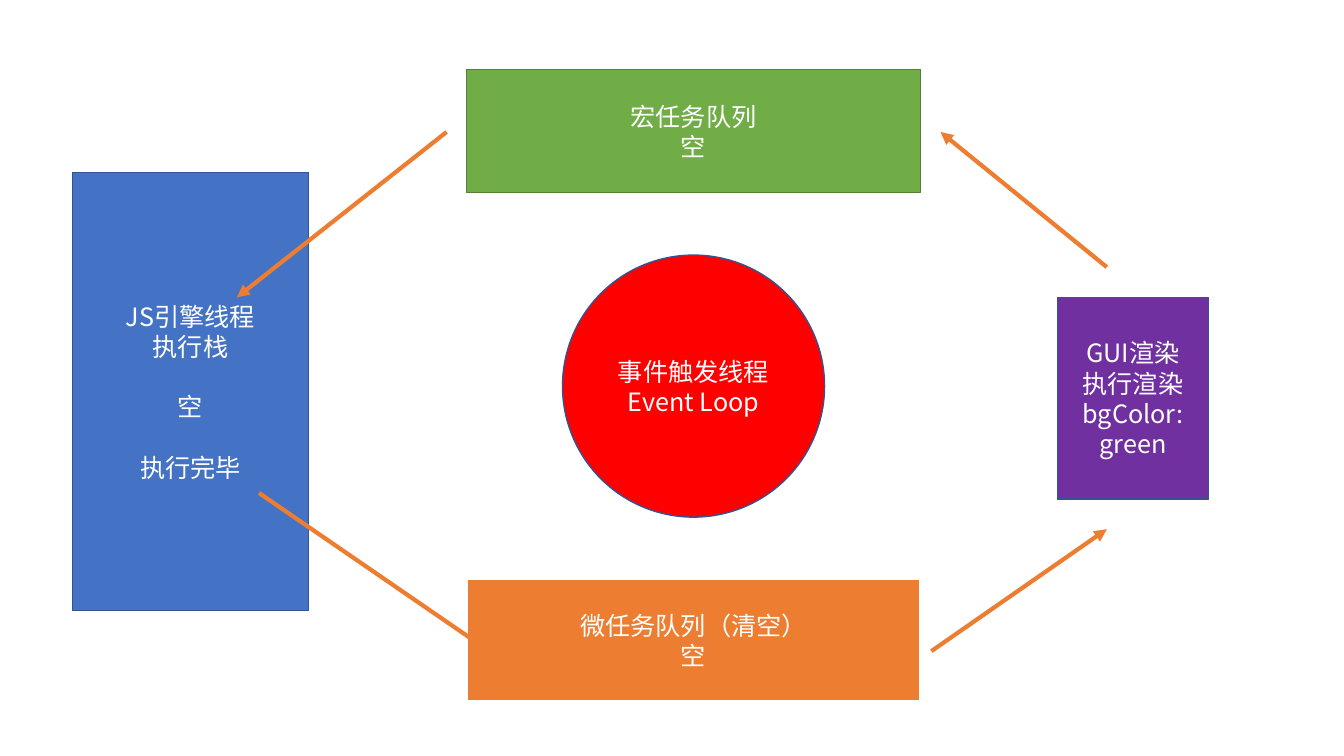
from dataclasses import dataclass

from lxml import etree
from pptx import Presentation
from pptx.dml.color import RGBColor
from pptx.enum.shapes import MSO_CONNECTOR, MSO_SHAPE
from pptx.enum.text import MSO_ANCHOR, PP_ALIGN
from pptx.oxml.ns import qn
from pptx.util import Pt

RECTANGLE = MSO_SHAPE.RECTANGLE
OVAL = MSO_SHAPE.OVAL
STRAIGHT = MSO_CONNECTOR.STRAIGHT
MIDDLE = MSO_ANCHOR.MIDDLE
CENTER = PP_ALIGN.CENTER


@dataclass(frozen=True)
class Theme:
    font: str = "Noto Sans CJK SC"
    text_size: float = 18
    line_height: float = 21.6
    white: str = "FFFFFF"
    blue: str = "4472C4"
    blue_edge: str = "325491"
    orange: str = "ED7D31"
    purple: str = "7030A0"
    green: str = "70AD47"
    green_edge: str = "538035"
    red: str = "FF0000"
    arrow_width: float = 3


THEME = Theme()

# Both queues share one column and size
QUEUE_LEFT, QUEUE_WIDTH, QUEUE_HEIGHT = 333.4, 324, 87.8


def color(value):
    return RGBColor.from_string(value)


def write_groups(shape, groups):
    """Write centred lines, with one line of space between groups."""
    text_frame = shape.text_frame
    text_frame.word_wrap = True
    text_frame.vertical_anchor = MIDDLE
    text_frame.text = "\n".join(line for group in groups for line in group)
    starts_group = [index == 0 for group in groups for index in range(len(group))]
    for number, paragraph in enumerate(text_frame.paragraphs):
        paragraph.alignment = CENTER
        if number and starts_group[number]:
            paragraph.space_before = Pt(THEME.line_height)
        for run in paragraph.runs:
            run.font.size = Pt(THEME.text_size)
            run.font.name = THEME.font
            run.font.color.rgb = color(THEME.white)
            east_asian = etree.SubElement(run.font._element, qn("a:ea"))
            east_asian.set("typeface", THEME.font)


def add_node(slide, kind, box, fill, edge, groups, edge_width=1):
    shape = slide.shapes.add_shape(kind, *(Pt(length) for length in box))
    shape.shadow.inherit = False
    shape.fill.solid()
    shape.fill.fore_color.rgb = color(fill)
    shape.line.color.rgb = color(edge)
    shape.line.width = Pt(edge_width)
    write_groups(shape, groups)


def add_queue(slide, top, fill, edge, lines, edge_width=1):
    box = (QUEUE_LEFT, top, QUEUE_WIDTH, QUEUE_HEIGHT)
    add_node(slide, RECTANGLE, box, fill, edge, [lines], edge_width)


def add_arrow(slide, start, end):
    connector = slide.shapes.add_connector(
        STRAIGHT, *(Pt(length) for length in start + end))
    connector.line.color.rgb = color(THEME.orange)
    connector.line.width = Pt(THEME.arrow_width)
    properties = connector._element.spPr
    arrowhead = etree.SubElement(properties.find(qn("a:ln")), qn("a:tailEnd"))
    arrowhead.set("type", "triangle")
    etree.SubElement(properties, qn("a:effectLst"))


def main():
    presentation = Presentation()
    presentation.slide_width = Pt(960)
    presentation.slide_height = Pt(540)
    slide = presentation.slides.add_slide(presentation.slide_layouts[6])

    # Execution stack and microtask queue
    add_node(slide, RECTANGLE, (51.8, 123.1, 168.5, 313.2), THEME.blue,
             THEME.blue_edge, [["JS引擎线程", "执行栈"], ["空"], ["执行完毕"]])
    add_queue(slide, 413.3, THEME.orange, THEME.white,
              ["微任务队列（清空）", "空"], edge_width=1.5)
    add_arrow(slide, (185, 352.1), (360, 472.3))
    add_arrow(slide, (665.3, 465.1), (790.6, 378))

    # Rendering and macrotask queue
    add_node(slide, RECTANGLE, (755.3, 212.4, 108, 144), THEME.purple,
             THEME.blue_edge, [["GUI渲染", "执行渲染", "bgColor:", "green"]])
    add_queue(slide, 49.7, THEME.green, THEME.green_edge, ["宏任务队列", "空"])
    add_arrow(slide, (790.6, 190.8), (671.8, 94.3))
    add_arrow(slide, (319, 94.3), (169.2, 212.4))

    # Event loop at the centre
    add_node(slide, OVAL, (401.8, 182.2, 187.2, 187.2), THEME.red,
             THEME.blue_edge, [["事件触发线程", "Event Loop"]])

    presentation.save("out.pptx")


if __name__ == "__main__":
    main()
